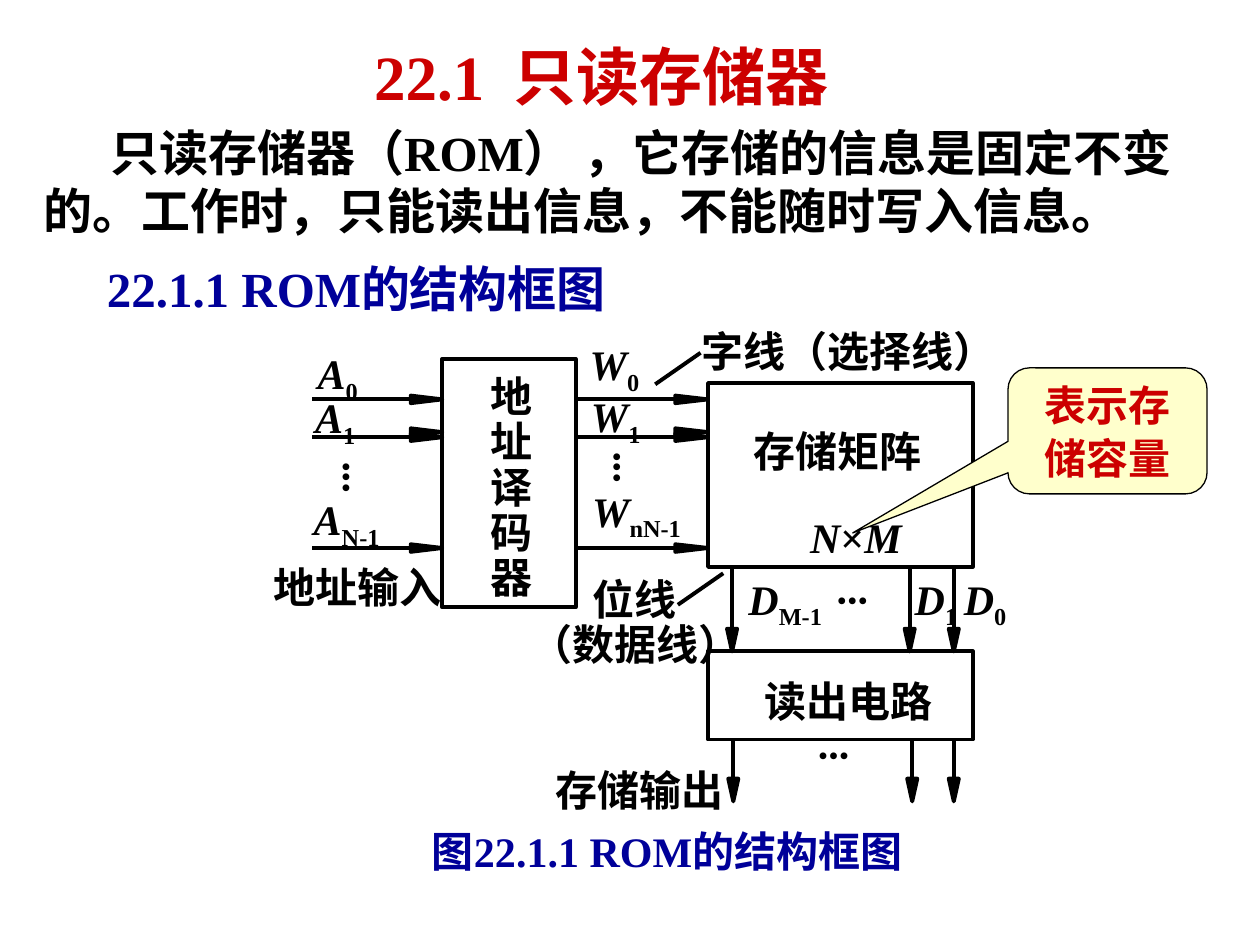
from pptx import Presentation
from pptx.dml.color import RGBColor
from pptx.enum.shapes import MSO_CONNECTOR as Conn, MSO_SHAPE as Kind
from pptx.enum.text import MSO_ANCHOR as Anchor, MSO_AUTO_SIZE as Fit, PP_ALIGN as Align
from pptx.oxml.ns import qn
from pptx.util import Inches, Pt
from lxml.etree import SubElement

RED, BLUE, BLACK = "CC0000", "000099", "000000"
SERIF, SANS = "Times New Roman", "Noto Sans CJK SC"
hue = RGBColor.from_string


def say(para, text, size=24, ink=BLACK, font=SERIF, east=SANS, slant=False, low=False):
    run = para.add_run()
    run.text = text
    face = run.font
    face.size, face.bold, face.italic, face.name = Pt(size), True, slant, font
    face.color.rgb = hue(ink)
    props = run._r.get_or_add_rPr()
    SubElement(props, qn("a:ea")).set("typeface", east)
    if low:
        props.set("baseline", "-25000")


def box(x, y, w, h, wrap=False, pad=0.0):
    shape = slide.shapes.add_textbox(Inches(x), Inches(y), Inches(w), Inches(h))
    frame = shape.text_frame
    frame.word_wrap = wrap
    frame.auto_size = Fit.SHAPE_TO_FIT_TEXT
    frame.margin_left = frame.margin_right = Inches(pad)
    frame.margin_top = frame.margin_bottom = Inches(pad / 2)
    return shape


prs = Presentation()
prs.slide_width, prs.slide_height = Inches(10), Inches(7.5)
slide = prs.slides.add_slide(prs.slide_layouts[5])

title = slide.shapes.title
title.left, title.top = Inches(2.87), Inches(0.25)
title.width, title.height = Inches(3.96), Inches(0.7)
frame = title.text_frame
frame.word_wrap = False
frame.auto_size = Fit.SHAPE_TO_FIT_TEXT
frame.vertical_anchor = Anchor.TOP
para = frame.paragraphs[0]
para.alignment = Align.LEFT
say(para, "22.1", size=36, ink=RED)
say(para, "  只读存储器", size=36, ink=RED, font="Noto Sans CJK JP", east="Noto Sans CJK JP")

heads = [
    ("22.1.1 ROM的结构框图", 0.75, 2, 4.92, 0.57, 28, BLUE, 0),
    ("只读存储器（ROM） ，它存储的信息是固定不变的。工作时，只能读出信息，不能随时写入信息。",
     0.25, 0.92, 9.42, 1.04, 28, BLACK, 0.53),
    ("图22.1.1 ROM的结构框图", 3.33, 6.5, 4.25, 0.5, 24, BLUE, 0),
]
for text, x, y, w, h, size, ink, dent in heads:
    para = box(x, y, w, h, wrap=True, pad=0.1).text_frame.paragraphs[0]
    para._p.get_or_add_pPr().set("indent", str(Inches(dent)))
    say(para, text, size=size, ink=ink)

for x, y, w, h in [(3.51, 2.85, 1.06, 1.97), (5.62, 3.04, 2.1, 1.46), (5.62, 5.17, 2.1, 0.7)]:
    rect = slide.shapes.add_shape(Kind.RECTANGLE, Inches(x), Inches(y), Inches(w), Inches(h))
    rect.shadow.inherit = False
    rect.fill.background()
    rect.line.color.rgb = hue(BLACK)
    rect.line.width = Pt(2.25)

lines = [(5.2, 3.05, 5.56, 2.8), (5.38, 4.8, 5.74, 4.55)]
tips = []
for start, neck, tip in [(2.48, 3.26, 3.51), (4.57, 5.36, 5.62)]:
    lines += [(start, y, neck, y) for y in (3.17, 3.47, 4.35)]
    tips += [[(neck, y - 0.03), (tip, y), (neck, y + 0.03)] for y in (3.17, 3.43, 3.47, 4.35)]
for start, neck, tip, cols in [(4.49, 4.99, 5.17, (5.81, 7.22, 7.57)),
                               (5.87, 6.18, 6.36, (5.82, 7.24, 7.57))]:
    lines += [(x, start, x, neck) for x in cols]
    tips += [[(x + 0.04, neck), (x, tip), (x - 0.04, neck)] for x in cols]

for ends in lines:
    line = slide.shapes.add_connector(Conn.STRAIGHT, *map(Inches, ends))
    line.line.color.rgb = hue(BLACK)
    line.line.width = Pt(2.25)
    SubElement(line._element.spPr, qn("a:effectLst"))

for first, *rest in tips:
    pen = slide.shapes.build_freeform(*map(Inches, first))
    pen.add_line_segments([(Inches(x), Inches(y)) for x, y in rest], close=True)
    head = pen.convert_to_shape()
    head.shadow.inherit = False
    head.fill.solid()
    head.fill.fore_color.rgb = hue(BLACK)
    head.line.color.rgb = hue(BLACK)
    head.line.width = Pt(2.25)

names = [
    ("读出电路", 6.07, 5.36), ("存储矩阵", 5.98, 3.38), ("位线", 4.7, 4.55),
    ("（数据线）", 4.21, 4.91), ("字线（选择线）", 5.57, 2.58), ("地址输入", 2.17, 4.46),
]
names += [(char, 3.89, 2.94 + 0.36 * i) for i, char in enumerate("地址译码器")]
for text, x, y in names:
    say(box(x, y, len(text) / 3, 0.4).text_frame.paragraphs[0], text)
say(box(4.41, 6.07, 1.35, 0.4).text_frame.paragraphs[0], "存储输出", font=SANS)

para = box(6.43, 4.06, 0.73, 0.4).text_frame.paragraphs[0]
for char in "N×M":
    say(para, char, slant=char != "×")

marks = [
    ("A", "N-1", 2.49, 3.92, 0.54), ("A", "1", 2.5, 3.11, 0.32), ("A", "0", 2.52, 2.76, 0.32),
    ("W", "0", 4.68, 2.69, 0.41), ("W", "1", 4.69, 3.1, 0.41), ("W", "nN-1", 4.7, 3.85, 0.71),
    ("D", "M-1", 5.94, 4.55, 0.59), ("D", "0", 7.65, 4.55, 0.34), ("D", "1", 7.26, 4.55, 0.34),
]
for sign, sub, x, y, w in marks:
    para = box(x, y, w, 0.46).text_frame.paragraphs[0]
    say(para, sign, slant=True)
    say(para, sub, low=True)

for x, y, turn in [(2.51, 3.59, 270), (4.66, 3.51, 270), (6.64, 4.68, 180), (6.49, 5.91, 180)]:
    dots = box(x, y, 0.25, 0.4)
    dots.rotation = turn
    say(dots.text_frame.paragraphs[0], "...")

note = slide.shapes.add_shape(Kind.ROUNDED_RECTANGULAR_CALLOUT,
                              Inches(8), Inches(2.92), Inches(1.58), Inches(1))
for i, value in enumerate((-1.28, 0.81, 0.17)):
    note.adjustments[i] = value
note.shadow.inherit = False
note.fill.solid()
note.fill.fore_color.rgb = hue("FFFFCC")
note.line.color.rgb = hue(BLACK)
note.line.width = Pt(0.75)
frame = note.text_frame
frame.word_wrap = False
frame.vertical_anchor = Anchor.MIDDLE
for para, text in [(frame.paragraphs[0], "表示存"), (frame.add_paragraph(), "储容量")]:
    para.alignment = Align.CENTER
    para.space_before = Pt(1.5)
    say(para, text, ink=RED)

prs.save("out.pptx")
